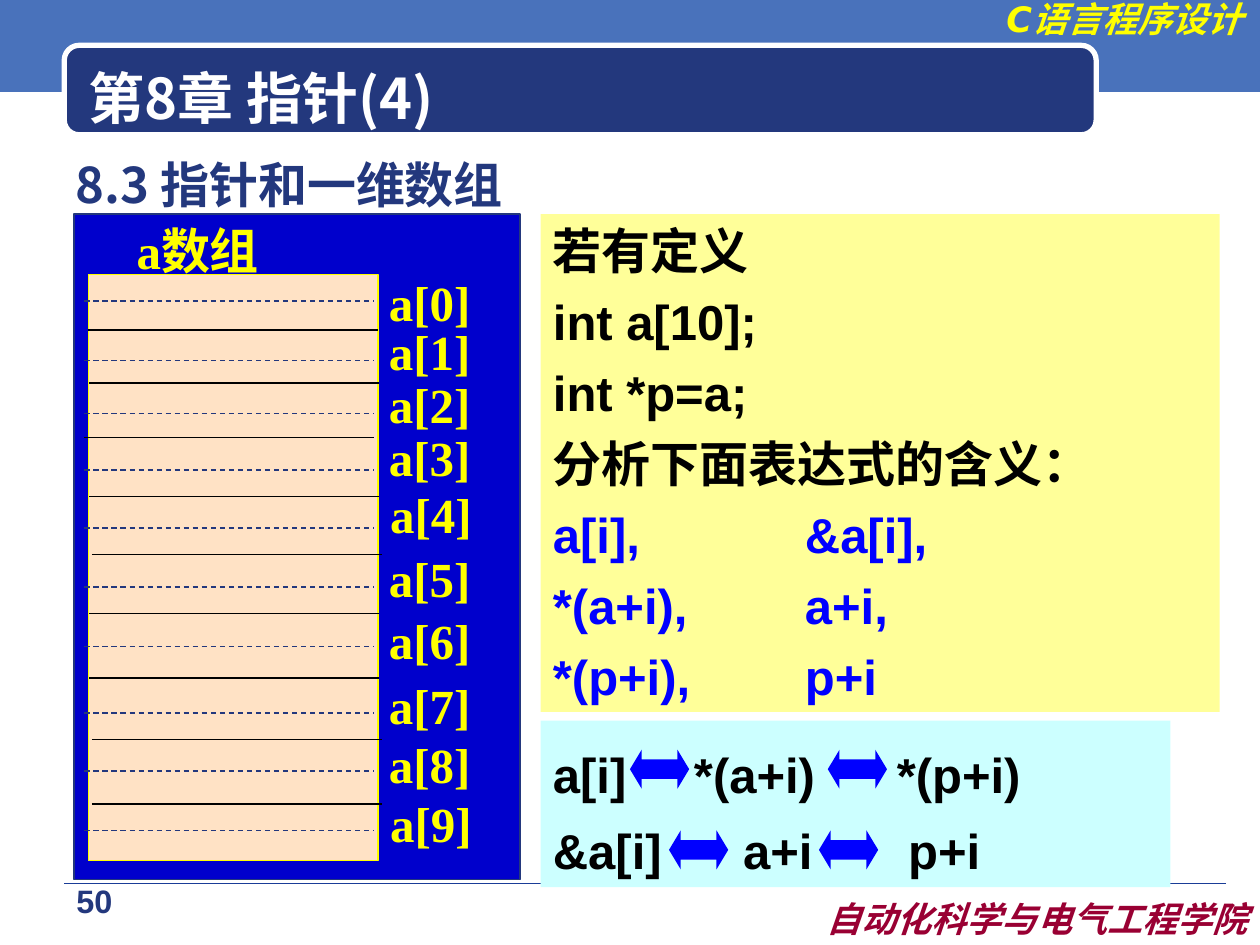
"""Build the slide on pointers and one-dimensional arrays."""
from lxml import etree
from pptx import Presentation
from pptx.dml.color import RGBColor
from pptx.enum.dml import MSO_LINE
from pptx.enum.shapes import MSO_CONNECTOR, MSO_SHAPE
from pptx.enum.text import MSO_ANCHOR, MSO_AUTO_SIZE, PP_ALIGN
from pptx.oxml.ns import qn
from pptx.util import Pt

PX = 9144
RECT, ROUND, SWAP = MSO_SHAPE.RECTANGLE, MSO_SHAPE.ROUNDED_RECTANGLE, MSO_SHAPE.LEFT_RIGHT_ARROW
STRAIGHT, DASH = MSO_CONNECTOR.STRAIGHT, MSO_LINE.DASH
LEFT, MID, RIGHT = PP_ALIGN.LEFT, PP_ALIGN.CENTER, PP_ALIGN.RIGHT
TOP, CENTER = MSO_ANCHOR.TOP, MSO_ANCHOR.MIDDLE
FIXED = MSO_AUTO_SIZE.NONE


class Theme:
    sky, navy, rule, white = "4972BB", "23387D", "1A3D97", "FFFFFF"
    panel, yellow, peach, black = "0000CC", "FFFF00", "FFE2C5", "000000"
    cream, aqua, blue, wine = "FFFF99", "CCFFFF", "0000FF", "990033"
    head, text, brand, page = 32, 28, 20, 18.5
    sans, serif, han, wide = "Arial", "Times New Roman", "Noto Sans CJK SC", "DejaVu Sans"


def block(box, fill=None, line=None, width=1, kind=RECT):
    size = [n * PX for n in box]
    if kind is None:
        return slide.shapes.add_textbox(*size)
    shape = slide.shapes.add_shape(kind, *size)
    shape.shadow.inherit = False
    shape.fill.solid()
    shape.fill.fore_color.rgb = RGBColor.from_string(fill)
    if line:
        shape.line.color.rgb = RGBColor.from_string(line)
        shape.line.width = Pt(width)
    else:
        shape.line.fill.background()
    return shape


def write(shape, text, font=Theme.sans, size=Theme.text, color=Theme.black, italic=False,
          align=LEFT, anchor=TOP, wrap=True, gap=0, space=1.0, inset=0):
    frame = shape.text_frame
    frame.auto_size, frame.word_wrap, frame.vertical_anchor = FIXED, wrap, anchor
    para = frame.paragraphs[0]
    if para.runs:
        para = frame.add_paragraph()
        para.space_before = Pt(gap)
    else:
        para.space_before = Pt(0)
    para.alignment, para.line_spacing = align, space
    props = para._p.get_or_add_pPr()
    props.set("marL", str(inset * PX))
    props.set("indent", "0")
    etree.SubElement(props, qn("a:buNone"))
    run = para.add_run()
    run.text = text
    run.font.name, run.font.size = font, Pt(size)
    run.font.bold, run.font.italic = True, italic
    run.font.color.rgb = RGBColor.from_string(color)
    etree.SubElement(run._r.get_or_add_rPr(), qn("a:ea"), typeface=Theme.han)


deck = Presentation()
deck.slide_width, deck.slide_height = 1000 * PX, 750 * PX
slide = deck.slides.add_slide(deck.slide_layouts[1])

block((0, -3, 1000, 76), Theme.sky)
block((51, 36, 819, 71), Theme.navy, Theme.white, 3, ROUND)

for box, text, color in [((744, -7, 252, 44), "C语言程序设计", Theme.yellow),
                         ((596, 707, 404, 44), "自动化科学与电气工程学院", Theme.wine)]:
    write(block(box, kind=None), text, font=Theme.wide, size=Theme.brand,
          color=color, italic=True, align=RIGHT)
write(block((20, 698, 110, 43), kind=None), "50", size=Theme.page,
      color=Theme.navy, align=MID, space=0.9)

title, body = slide.shapes.title, slide.placeholders[1]
for holder, box in [(title, (60, 46, 783, 62)), (body, (50, 118, 900, 574))]:
    holder.left, holder.top, holder.width, holder.height = [n * PX for n in box]
    slide.shapes._spTree.append(holder._element)
write(title, "第8章 指针(4)", font=Theme.han, size=Theme.head, color=Theme.white, anchor=CENTER)
write(body, "8.3 指针和一维数组", font=Theme.han, color=Theme.navy)

block((59, 170, 354, 528), Theme.panel, Theme.navy)
labels = [((94, 170, 126, 57), "a数组")]
spots = [(299, 211), (299, 250), (299, 292), (299, 334), (300, 379),
         (299, 430), (299, 479), (299, 531), (299, 578), (300, 625)]
for i, (left, top) in enumerate(spots):
    labels.append(((left, top, 84, 57), f"a[{i}]"))
for box, text in labels:
    write(block(box, kind=None), text, font=Theme.serif, color=Theme.yellow,
          align=MID, anchor=CENTER, wrap=False)

block((70, 218, 230, 465), Theme.peach, Theme.yellow, 0.75)
edges = [(70, 262), (71, 304), (67, 347), (71, 394), (73, 440),
         (71, 487), (71, 538), (73, 587), (73, 638)]
mids = [239, 286, 328, 373, 419, 466, 513, 566, 612, 659]
rules = [(51, 701, 922, Theme.rule, 0.5, None)]
rules += [(left, y, 230, Theme.black, 0.75, None) for left, y in edges]
rules += [(67, y, 230, Theme.navy, 0.75, DASH) for y in mids]
for left, y, span, color, width, dash in rules:
    rule = slide.shapes.add_connector(STRAIGHT, left * PX, y * PX, (left + span) * PX, y * PX)
    rule.line.color.rgb = RGBColor.from_string(color)
    rule.line.width = Pt(width)
    if dash:
        rule.line.dash_style = dash
    etree.SubElement(rule._element.spPr, qn("a:effectLst"))

task = block((429, 170, 539, 395), Theme.cream)
for text in ["若有定义", "int a[10];", "int *p=a;", "分析下面表达式的含义："]:
    write(task, text, gap=7)
for text in ["a[i],\t\t\t&a[i],", "*(a+i),\t\ta+i,", "*(p+i),\t\tp+i"]:
    write(task, text, color=Theme.blue, gap=7)

same = block((429, 572, 500, 132), Theme.aqua)
second = block((541, 572, 140, 132), kind=None)
third = block((702, 572, 140, 132), kind=None)
for shape, upper, lower, inset in [(same, "a[i]", "&a[i]", 0),
                                   (second, "*(a+i)", "a+i", 39),
                                   (third, "*(p+i)", "p+i", 9)]:
    write(shape, upper, space=1.3)
    write(shape, lower, space=1.3, inset=inset)
for left, top in [(500, 595), (657, 595), (650, 659), (531, 659)]:
    swap = block((left, top, 47, 31), Theme.blue, kind=SWAP)
    swap.adjustments[0], swap.adjustments[1] = 0.5, 0.3

deck.save("out.pptx")
